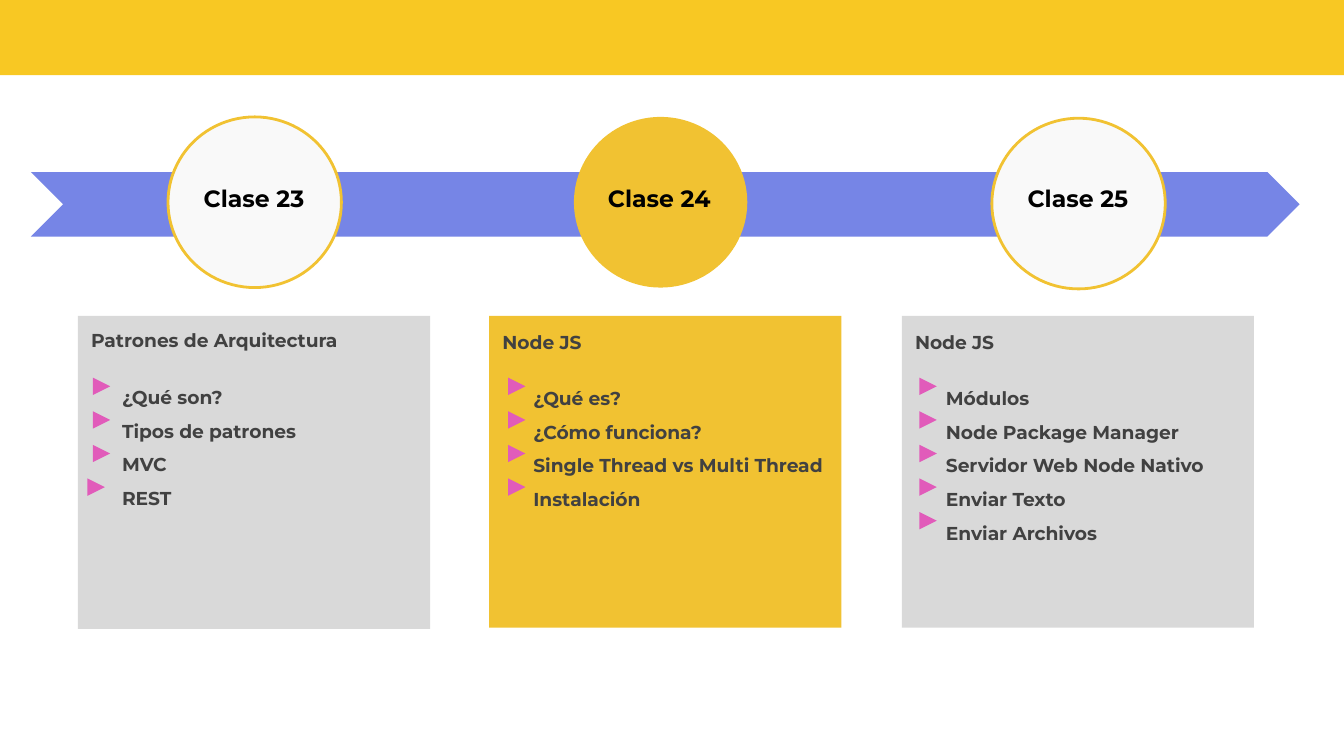
from pptx import Presentation
from pptx.dml.color import RGBColor
from pptx.enum.shapes import MSO_SHAPE as SHAPE
from pptx.enum.text import MSO_ANCHOR as ANCHOR, PP_ALIGN as ALIGN
from pptx.util import Inches, Pt

YELLOW, GOLD, BLUE, PINK = "F8C823", "F1C232", "7685E6", "E15BBA"
LIGHT, GRAY, DARK, BLACK = "F9F9F9", "D9D9D9", "414141", "000000"


def color(value):
    return RGBColor.from_string(value)


def write(p, text, size=10, fill=DARK, bold=True, font="Montserrat",
          align=ALIGN.LEFT, spacing=1, before=0, indent=0):
    r = p.add_run()
    r.text = text
    r.font.name, r.font.size, r.font.bold = font, Pt(size), bold
    r.font.color.rgb = color(fill)
    p.alignment, p.line_spacing = align, spacing
    p.space_before = Pt(before)
    if indent:
        p._p.get_or_add_pPr().set("marL", str(Inches(indent)))


class Deck:
    def __init__(self, width):
        self.prs = Presentation()
        # Widescreen, 16:9
        self.prs.slide_width = Inches(width)
        self.prs.slide_height = Inches(width * 9 / 16)
        self.s = self.prs.slides.add_slide(self.prs.slide_layouts[6])

    def shape(self, kind, box, fill, line=None, rotation=0):
        sp = self.s.shapes.add_shape(kind, *map(Inches, box))
        sp.shadow.inherit = False
        sp.rotation = rotation
        sp.fill.solid()
        sp.fill.fore_color.rgb = color(fill)
        if line:
            sp.line.color.rgb = color(line)
            sp.line.width = Pt(1.5)
        else:
            sp.line.fill.background()
        return sp

    def text_frame(self, box):
        tf = self.s.shapes.add_textbox(*map(Inches, box)).text_frame
        tf.word_wrap = True
        tf.vertical_anchor = ANCHOR.TOP
        tf.margin_left = tf.margin_right = Inches(0.1)
        tf.margin_top = tf.margin_bottom = Inches(0.1)
        return tf

    def milestone(self, left, top, label, label_box, fill, line):
        self.shape(SHAPE.OVAL, (left, top, 1.29, 1.27), fill, line)
        tf = self.text_frame(label_box)
        write(tf.paragraphs[0], label, size=12.6, fill=BLACK, align=ALIGN.CENTER)

    def card(self, left, text_top, fill, heading, items, marker_lefts, height=2.32):
        self.shape(SHAPE.RECTANGLE, (left, 2.35, 2.62, height), fill)
        tf = self.text_frame((left, text_top, 2.62, 2.31))
        write(tf.paragraphs[0], heading)
        for i, (item, marker_left) in enumerate(zip(items, marker_lefts)):
            write(tf.add_paragraph(), item, spacing=1.5, indent=0.23,
                  before=0 if i else 12.2)
            self.shape(SHAPE.ISOSCELES_TRIANGLE,
                       (marker_left, 2.81 + 0.25 * i, 0.13, 0.13), PINK, rotation=90)


def main():
    deck = Deck(10)

    # Header band and timeline arrow
    deck.shape(SHAPE.RECTANGLE, (-0.01, -0.05, 10.03, 0.61), YELLOW)
    deck.shape(SHAPE.CHEVRON, (0.23, 1.28, 9.44, 0.48), BLUE).adjustments[0] = 0.5

    # Class circles
    deck.milestone(1.25, 0.87, "Clase 23", (1.39, 1.27, 1, 0.33), LIGHT, GOLD)
    deck.milestone(4.27, 0.87, "Clase 24", (4.31, 1.27, 1.19, 0.33), GOLD, None)
    deck.milestone(7.38, 0.88, "Clase 25", (7.52, 1.27, 1, 0.33), LIGHT, GOLD)

    # Topic cards
    deck.card(0.58, 2.35, GRAY, "Patrones de Arquitectura",
              ["¿Qué son?", "Tipos de patrones", "MVC", "REST"],
              [0.69] * 3 + [0.65], height=2.33)
    deck.card(3.64, 2.36, GOLD, "Node JS",
              ["¿Qué es?", "¿Cómo funciona?", "Single Thread vs Multi Thread",
               "Instalación"],
              [3.78] * 4)
    deck.card(6.71, 2.36, GRAY, "Node JS",
              ["Módulos", "Node Package Manager", "Servidor Web Node Nativo",
               "Enviar Texto", "Enviar Archivos"],
              [6.84] * 5)

    deck.prs.save("out.pptx")


if __name__ == "__main__":
    main()
